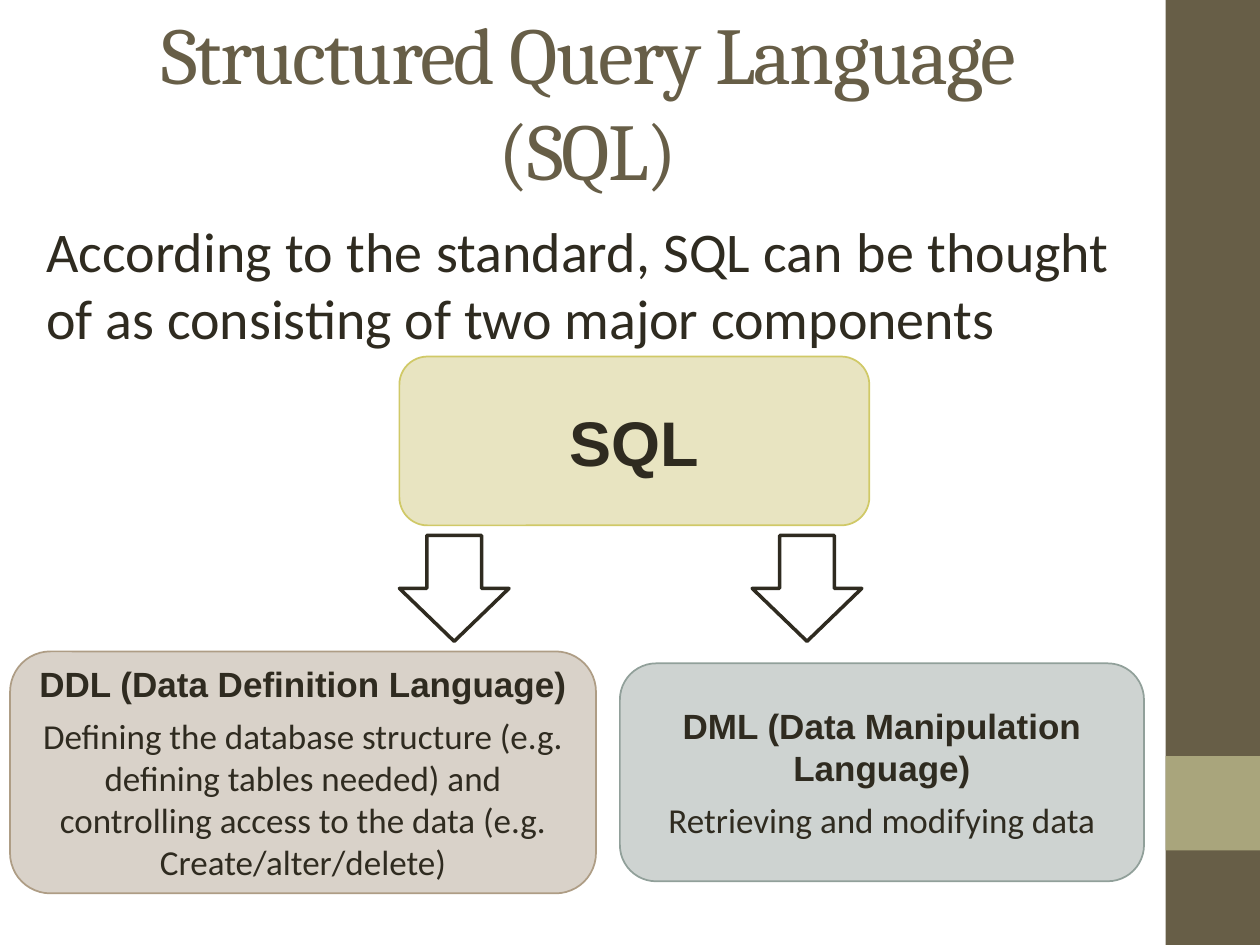
from pptx import Presentation
from pptx.dml.color import RGBColor
from pptx.enum.shapes import MSO_SHAPE
from pptx.enum.text import MSO_ANCHOR, PP_ALIGN
from pptx.util import Inches, Pt

RECT, ROUNDED, ARROW = MSO_SHAPE.RECTANGLE, MSO_SHAPE.ROUNDED_RECTANGLE, MSO_SHAPE.DOWN_ARROW
TOP, MIDDLE = MSO_ANCHOR.TOP, MSO_ANCHOR.MIDDLE
CENTER, JUSTIFY = PP_ALIGN.CENTER, PP_ALIGN.JUSTIFY

COLORS = {
    "olive": "675E47", "sage": "A9A57C", "ink": "2F2B20",
    "sql": "E8E4C1", "sql_edge": "D0C967",
    "ddl": "D9D2C9", "ddl_edge": "AE9D85",
    "dml": "CED3D1", "dml_edge": "91A09A",
}
FORMATS = {
    "title": {"name": "Cambria", "size": Pt(46)},
    "intro": {"name": "Calibri", "size": Pt(32)},
    "root": {"name": "Arial", "size": Pt(36), "bold": True},
    "heading": {"name": "Arial", "size": Pt(20), "bold": True},
    "detail": {"name": "Calibri", "size": Pt(20), "bold": False},
}


def color(key):
    return RGBColor.from_string(COLORS[key])


def add_panel(slide, kind, box, fill=None, edge=None, edge_width=1):
    panel = slide.shapes.add_shape(kind, *map(Inches, box))
    panel.shadow.inherit = False
    if fill:
        panel.fill.solid()
        panel.fill.fore_color.rgb = color(fill)
    else:
        panel.fill.background()
    if edge:
        panel.line.color.rgb = color(edge)
        panel.line.width = Pt(edge_width)
    else:
        panel.line.fill.background()
    return panel


def write(frame, lines, align=CENTER, anchor=MIDDLE, ink="ink", gap=6):
    """Fill a text frame with (text, format key) paragraphs, gap points apart."""
    frame.word_wrap = True
    frame.vertical_anchor = anchor
    for index, (text, format_key) in enumerate(lines):
        paragraph = frame.add_paragraph() if index else frame.paragraphs[0]
        paragraph.alignment = align
        if index < len(lines) - 1:
            paragraph.space_after = Pt(gap)
        run = paragraph.add_run()
        run.text = text
        run.font.color.rgb = color(ink)
        for attribute, value in FORMATS[format_key].items():
            setattr(run.font, attribute, value)


def add_sidebar(slide, box):
    left, top, width, height = box
    add_panel(slide, RECT, box, "olive")
    add_panel(slide, RECT, (left, top + height * 0.8, width, width), "sage")


def add_title(slide, box):
    title = slide.shapes.add_textbox(*map(Inches, box))
    write(title.text_frame, [("Structured Query Language (SQL)", "title")], ink="olive")
    run = title.text_frame.paragraphs[0].runs[0]
    run.font._element.set("spc", "-100")


def add_intro(slide, box):
    intro = slide.shapes.add_textbox(*map(Inches, box))
    sentence = "According to the standard, SQL can be thought of as consisting of two major components"
    write(intro.text_frame, [(sentence, "intro")], JUSTIFY, TOP)


def add_component(slide, box, key, lines):
    component = add_panel(slide, ROUNDED, box, key, f"{key}_edge")
    write(component.text_frame, lines)


def add_diagram(slide, box):
    """Place SQL at the top and its two components below, within the box."""
    left, top, width, height = box
    add_component(slide, (left + 3.09, top, 3.73, 1.34), "sql", [("SQL", "root")])
    for arrow_left in (left + 3.09, left + 5.89):
        add_panel(slide, ARROW, (arrow_left, top + 1.42, 0.87, 0.84), edge="ink", edge_width=2)

    ddl_width, ddl_height = 4.65, 1.92
    dml_width, dml_height = 4.16, 1.73
    ddl_top = top + height - ddl_height
    dml_top = ddl_top + (ddl_height - dml_height) / 2
    add_component(slide, (left, ddl_top, ddl_width, ddl_height), "ddl", [
        ("DDL (Data Definition Language)", "heading"),
        ("Defining the database structure (e.g. defining tables needed) and "
         "controlling access to the data (e.g. Create/alter/delete)", "detail"),
    ])
    add_component(slide, (left + width - dml_width, dml_top, dml_width, dml_height), "dml", [
        ("DML (Data Manipulation Language)", "heading"),
        ("Retrieving and modifying data", "detail"),
    ])


def main():
    presentation = Presentation()
    presentation.slide_width, presentation.slide_height = Inches(10), Inches(7.5)
    slide = presentation.slides.add_slide(presentation.slide_layouts[6])
    add_sidebar(slide, (9.25, 0, 0.75, 7.5))
    add_title(slide, (0.5, 0.17, 8.33, 1.25))
    add_intro(slide, (0.27, 1.67, 8.64, 1.18))
    add_diagram(slide, (0.08, 2.83, 9, 4.26))
    presentation.save("out.pptx")


if __name__ == "__main__":
    main()
